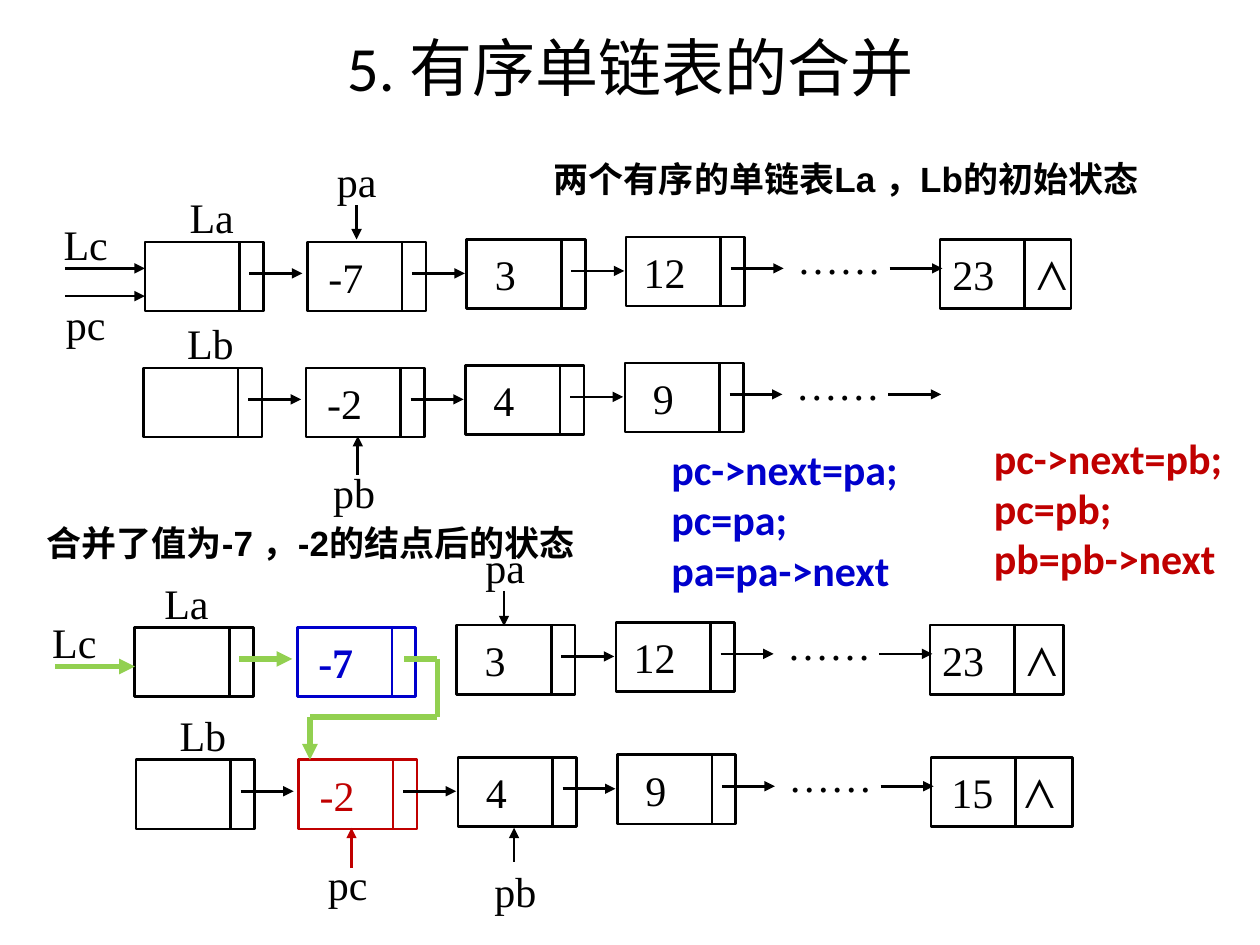
from lxml import etree
from pptx import Presentation
from pptx.dml.color import RGBColor
from pptx.enum.shapes import MSO_CONNECTOR, MSO_SHAPE
from pptx.enum.text import MSO_ANCHOR, PP_ALIGN
from pptx.oxml.ns import qn
from pptx.util import Inches, Pt

STRAIGHT = MSO_CONNECTOR.STRAIGHT
RECTANGLE = MSO_SHAPE.RECTANGLE
MIDDLE = MSO_ANCHOR.MIDDLE
LEFT, CENTER = PP_ALIGN.LEFT, PP_ALIGN.CENTER

BLACK, RED, BLUE, GREEN = "000000", "C00000", "0000CC", "92D050"
SERIF, SANS, BODY = "Times New Roman", "Arial", "Calibri"
NODE_WIDTH, NODE_HEIGHT = 0.94, 0.55
DIVIDER, LINK_START, LINK_LENGTH, LINK_DROP = 0.75, 0.83, 0.42, 0.25


def colour(value):
    return RGBColor.from_string(value)


def write(box, lines, font=SERIF, size=24, ink=BLACK, bold=False,
          align=CENTER, anchor=MIDDLE, wrap=False):
    frame = box.text_frame
    frame.word_wrap = wrap
    frame.vertical_anchor = anchor
    frame.text = lines
    for para in frame.paragraphs:
        para.alignment = align
        para.font.name = font
        para.font.size = Pt(size)
        para.font.bold = bold
        para.font.color.rgb = colour(ink)
    return frame


def add_text(page, text, left, top, width, height, **style):
    box = page.shapes.add_textbox(*map(Inches, (left, top, width, height)))
    return write(box, text, **style)


def add_line(page, start, end, ink=BLACK, arrow=False):
    """Draw a line; green links are the thick ones."""
    line = page.shapes.add_connector(STRAIGHT, *map(Inches, (*start, *end)))
    line.line.color.rgb = colour(ink)
    line.line.width = Pt(3 if ink == GREEN else 1.5)
    if arrow:
        etree.SubElement(line.line._get_or_add_ln(), qn("a:tailEnd"), type="triangle")
    etree.SubElement(line._element.spPr, qn("a:effectLst"))


def add_cell(page, left, top, width, divider, ink=BLACK):
    """Draw a box split into a data part and a link part."""
    box = page.shapes.add_shape(
        RECTANGLE, *map(Inches, (left, top, width, NODE_HEIGHT)))
    box.shadow.inherit = False
    box.fill.background()
    box.line.color.rgb = colour(ink)
    box.line.width = Pt(1.5)
    middle = left + divider
    add_line(page, (middle, top), (middle, top + NODE_HEIGHT), ink)
    return box


def add_link(page, left, level, ink=BLACK):
    add_line(page, (left, level), (left + LINK_LENGTH, level), ink, arrow=True)


def add_node(page, left, top, value="", ink=BLACK, link=BLACK, bold=False):
    box = add_cell(page, left, top, NODE_WIDTH, DIVIDER, ink)
    if value:
        frame = write(box, value, ink=ink, bold=bold)
        frame.margin_left = 0
        frame.margin_right = Inches(0.33)
    if link:
        add_link(page, left + LINK_START, top + LINK_DROP, link)


def add_tail(page, left, top, value, width, indent, tab):
    """Draw the last node, whose link part holds the null mark."""
    box = add_cell(page, left, top, width, 0.67)
    frame = write(box, f"{value}\t⋀", align=LEFT, wrap=True)
    frame.margin_left = Inches(indent)
    frame.margin_right = 0
    properties = frame.paragraphs[0]._p.get_or_add_pPr()
    stops = etree.Element(qn("a:tabLst"))
    etree.SubElement(stops, qn("a:tab"), pos=str(Inches(tab)), algn="l")
    properties.insert(0, stops)


def add_list(page, left, top, name, nodes, name_width=0.92,
             head_link=BLACK, tail=None):
    """Draw one linked list from its head node at (left, top)."""
    add_text(page, name, left + 0.07, top - 0.45, name_width, 0.5)
    add_node(page, left, top, link=head_link)
    for index, node in enumerate(nodes):
        add_node(page, left + 1.29 + 1.265 * index, top - 0.02 * index, **node)
    add_text(page, "……", left + 5.04, top - 0.15, NODE_WIDTH, NODE_HEIGHT)
    add_link(page, left + 5.91, top + 0.21)
    if tail:
        add_tail(page, left + 6.31, top - 0.02, **tail)


def add_pointer(page, name, label, start, end, ink=BLACK):
    """Draw a pointer name in a box at label, and its arrow."""
    add_text(page, name, *label, 0.58, 0.45)
    add_line(page, start, end, ink, arrow=True)


def add_initial_state(page):
    add_text(page, "两个有序的单链表La ，Lb的初始状态", 3.64, 1.17, 6.15, 0.49,
             font=SANS, size=20, bold=True, wrap=True)
    add_list(page, 1.15, 1.92, "La", [{"value": v} for v in ("-7", "3", "12")],
             tail={"value": "23", "width": 1.04, "indent": 0.1, "tab": 0.67})
    add_list(page, 1.14, 2.92, "Lb", [{"value": v} for v in ("-2", "4", "9")])
    add_pointer(page, "Lc", (0.39, 1.71), (0.52, 2.13), (1.15, 2.13))
    add_pointer(page, "pc", (0.39, 2.34), (0.52, 2.35), (1.15, 2.35))
    add_pointer(page, "pa", (2.54, 1.21), (2.83, 1.63), (2.83, 1.9))
    add_pointer(page, "pb", (2.52, 3.68), (2.84, 3.77), (2.84, 3.46))


def add_merged_state(page):
    add_text(page, "合并了值为-7 ，-2的结点后的状态", 0.01, 4.05, 4.91, 0.51,
             font=SANS, size=20, bold=True, wrap=True)
    first = {"value": "-7", "ink": BLUE, "link": None, "bold": True}
    add_list(page, 1.07, 4.98, "La", [first, {"value": "3"}, {"value": "12"}],
             name_width=0.68, head_link=GREEN,
             tail={"value": "23", "width": 1.06, "indent": 0.1, "tab": 0.67})
    add_list(page, 1.08, 6.03, "Lb",
             [{"value": "-2", "ink": RED}, {"value": "4"}, {"value": "9"}],
             tail={"value": "15", "width": 1.12, "indent": 0.16, "tab": 0.58})
    route = [(3.21, 5.23), (3.47, 5.23), (3.47, 5.69), (2.46, 5.69), (2.46, 6.03)]
    for start, end in zip(route, route[1:]):
        add_line(page, start, end, GREEN, arrow=end == route[-1])
    add_pointer(page, "Lc", (0.3, 4.87), (0.44, 5.29), (1.07, 5.29), GREEN)
    add_pointer(page, "pa", (3.72, 4.27), (4, 4.69), (4, 4.97))
    add_pointer(page, "pc", (2.47, 6.79), (2.79, 6.89), (2.79, 6.57), RED)
    add_pointer(page, "pb", (3.8, 6.84), (4.08, 6.84), (4.08, 6.57))


def add_code(page, left, top, lines, ink):
    add_text(page, "\n".join(lines), left, top, 2.04, 1.31, font=BODY, ink=ink,
             bold=True, align=LEFT, anchor=MSO_ANCHOR.TOP, wrap=True)


def add_title(page, text):
    title = page.shapes.title
    title.left, title.top, title.width, title.height = map(
        Inches, (0.5, 0.06, 9, 0.94))
    write(title, text, font=BODY, size=36, wrap=True)


def main():
    deck = Presentation()
    deck.slide_width, deck.slide_height = Inches(10), Inches(7.5)
    page = deck.slides.add_slide(deck.slide_layouts.get_by_name("Title Only"))
    add_title(page, "5. 有序单链表的合并")
    add_initial_state(page)
    add_merged_state(page)
    add_code(page, 5.23, 3.47, ["pc->next=pa;", "pc=pa;", "pa=pa->next"], BLUE)
    add_code(page, 7.79, 3.38, ["pc->next=pb;", "pc=pb;", "pb=pb->next"], RED)
    deck.save("out.pptx")


if __name__ == "__main__":
    main()
